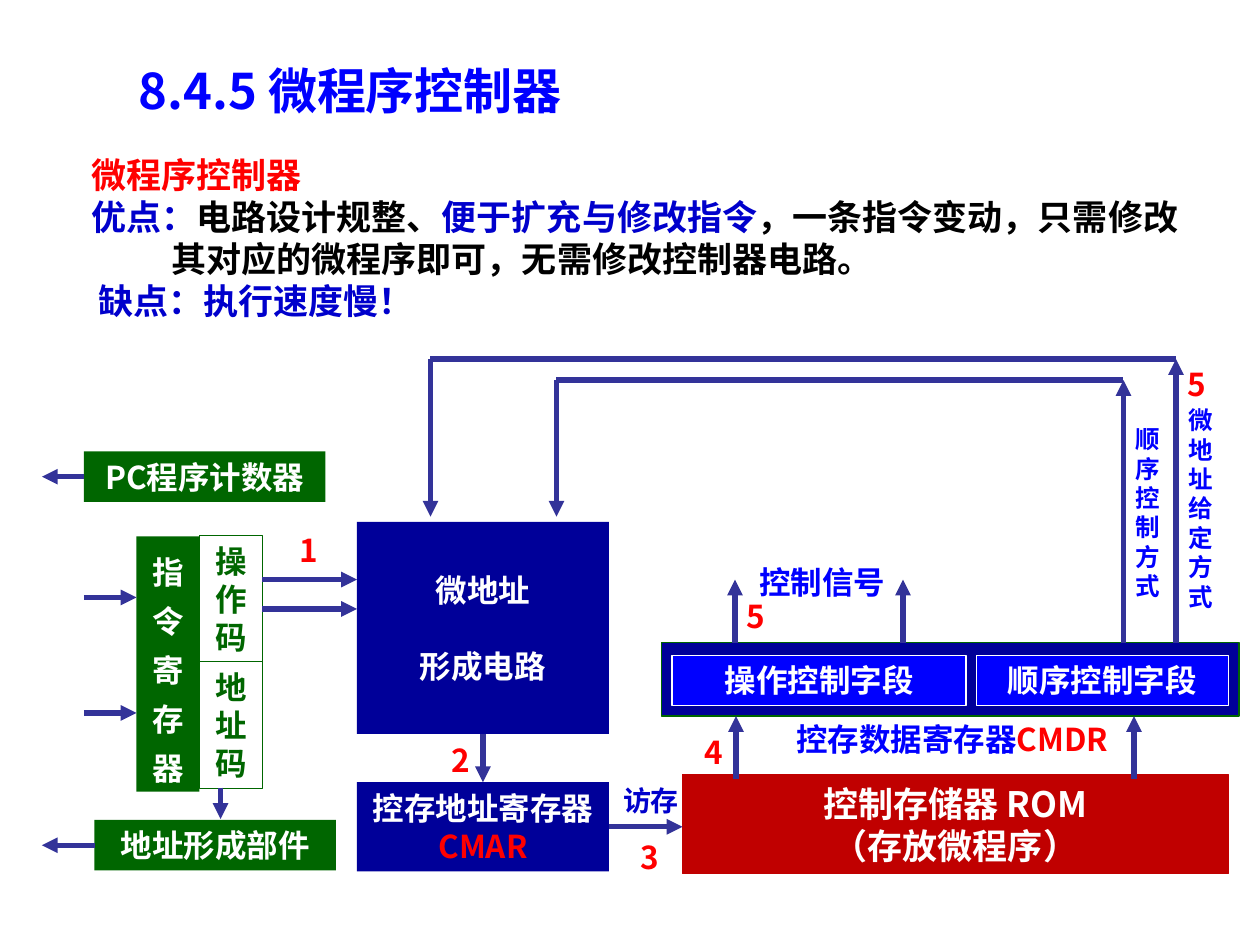
from lxml.etree import SubElement
from pptx import Presentation
from pptx.dml.color import RGBColor
from pptx.enum.shapes import MSO_CONNECTOR as LINK, MSO_SHAPE as FORM
from pptx.enum.text import MSO_ANCHOR as ANCHOR, MSO_AUTO_SIZE as AUTO, PP_ALIGN as ALIGN
from pptx.oxml.ns import qn
from pptx.util import Inches, Pt

FONT = "Noto Sans CJK SC"
BLUE = RGBColor(0x00, 0x00, 0xFF)
DEEP = RGBColor(0x00, 0x00, 0xCC)
NAVY = RGBColor(0x00, 0x00, 0x99)
STEEL = RGBColor(0x33, 0x33, 0x99)
GREEN = RGBColor(0x00, 0x66, 0x00)
BRICK = RGBColor(0xC0, 0x00, 0x00)
RED = RGBColor(0xFF, 0x00, 0x00)
WHITE = RGBColor(0xFF, 0xFF, 0xFF)
BLACK = RGBColor(0x00, 0x00, 0x00)

# All places are (column, row, columns wide, rows high) on this grid
COLS, ROWS = 120, 90
WIDE, HIGH = Inches(10), Inches(7.5)

TITLE = "8.4.5 微程序控制器"
TITLE_AT = (12, 5.2, 66, 6.8)

# Intro: (left indent in columns, runs)
INTRO_AT = (7.5, 14, 108.7, 17.2)
INTRO = [
    (0, [("微程序控制器", RED)]),
    (0, [("优点：", DEEP), ("电路设计规整、", BLACK), ("便于扩充与修改指令", DEEP),
         ("，一条指令变动，只需修改", BLACK)]),
    (7.65, [("其对应的微程序即可，无需修改控制器电路。", BLACK)]),
    (0.7, [("缺点：执行速度慢！", DEEP)]),
]

# Boxes: name, place, fill, edge, text size, paragraphs of runs
BOXES = [
    ("cmdr", (63, 61.2, 55, 7), NAVY, GREEN, 18, []),
    ("rom", (65, 73.8, 52, 9.4), BRICK, BRICK, 20,
     [[("控制存储器 ROM", WHITE)], [("（存放微程序）", WHITE)]]),
    ("cmar", (34, 74.5, 24, 8.5), NAVY, None, 18,
     [[("控存地址寄存器", WHITE)], [("CMAR", RED)]]),
    ("op", (64, 62.4, 28, 4.8), BLUE, WHITE, 18, [[("操作控制字段", WHITE)]]),
    ("seq", (93, 62.4, 24, 4.8), BLUE, WHITE, 18, [[("顺序控制字段", WHITE)]]),
    ("pc", (8, 43, 23, 4.8), GREEN, None, 18, [[("PC程序计数器", WHITE)]]),
    ("form", (34, 49.7, 24, 20.2), NAVY, None, 18,
     [[("微地址", WHITE)], [("形成电路", WHITE)]]),
    ("ir", (13, 51.1, 6, 24.3), GREEN, None, 18, [[("指令", WHITE)], [("寄存器", WHITE)]]),
    ("code", (19, 51, 6, 12.1), WHITE, GREEN, 18, [[("操作码", GREEN)]]),
    ("addr", (19, 63, 6, 12.1), WHITE, GREEN, 18, [[("地址码", GREEN)]]),
    ("part", (9, 78.1, 23, 4.8), GREEN, None, 18, [[("地址形成部件", WHITE)]]),
]

# Labels: place, size, wrap, alignment, paragraphs of runs
LABELS = [
    ((74, 68, 33.4, 4.8), 18, False, ALIGN.CENTER,
     [[("控存数据寄存器", BLUE), ("CMDR", RED)]]),
    ((65.3, 53, 26, 4.8), 18, True, ALIGN.CENTER, [[("控制信号", BLUE)]]),
    ((107, 39.8, 6, 18.1), 14, True, ALIGN.LEFT,
     [[("顺序", BLUE)], [("控制", BLUE)], [("方式", BLUE)]]),
    ((112, 38, 6.9, 21), 14, True, ALIGN.LEFT, [[("微地址给定方式", BLUE)]]),
    ((57, 74, 10, 4.4), 16, True, ALIGN.CENTER, [[("访存", DEEP)]]),
]

# Step numbers: digit, column and row of the top left corner
STEPS = [("1", 26.4, 49), ("2", 40.9, 69), ("3", 58.9, 78.2),
         ("4", 65, 68.2), ("5", 69, 55.3), ("5", 111, 33.2)]
STEP_W, STEP_H = 6, 6.8

# Arrows: from column, row to column, row
ARROWS = [(x, 61.2, x, 55.2) for x in (70, 86)]           # control signals
ARROWS += [(x, 74.2, x, 68.2) for x in (70.1, 108)]       # ROM to data register
ARROWS += [(25, y, 34, y) for y in (55.2, 58)]            # operation code
ARROWS += [(8, y, 13, y) for y in (56.9, 67.9)]           # into the register
ARROWS += [(21, 75, 21, 78)]                              # address code

# Feedback loops: right column, top row, left column
LOOPS = [(107, 36.2, 53), (112, 34.2, 41)]
LOOP_LOW, LOOP_END = 61.2, 49.2

# Arrows that leave a box: box, side, end (a box and side, or a point)
JOINS = [("pc", 1, (4, 45.4)), ("part", 1, (4, 80.5)),
         ("form", 2, ("cmar", 0)), ("cmar", 3, (65, 78.75))]


def px(col):
    return round(WIDE * col / COLS)


def py(row):
    return round(HIGH * row / ROWS)


def area(at):
    x, y, w, h = at
    return px(x), py(y), px(w), py(h)


def write(frame, paras, size, align, wrap=True, anchor=ANCHOR.TOP):
    frame.word_wrap = wrap
    frame.auto_size = AUTO.NONE
    frame.vertical_anchor = anchor
    for i, runs in enumerate(paras):
        para = frame.paragraphs[0] if i == 0 else frame.add_paragraph()
        para.alignment = align
        for text, color in runs:
            run = para.add_run()
            run.text = text
            font = run.font
            font.size, font.bold, font.name = Pt(size), True, FONT
            font.color.rgb = color
            SubElement(font._element, qn("a:ea"), typeface=FONT)


deck = Presentation()
deck.slide_width, deck.slide_height = WIDE, HIGH
slide = deck.slides.add_slide(deck.slide_layouts[5])
shapes = slide.shapes


def block(kind, at, fill=None, edge=None):
    shape = shapes.add_shape(kind, *area(at))
    shape.shadow.inherit = False
    if fill is None:
        shape.fill.background()
    else:
        shape.fill.solid()
        shape.fill.fore_color.rgb = fill
    if edge is None:
        shape.line.fill.background()
    else:
        shape.line.color.rgb = edge
        shape.line.width = Pt(0.75)
    return shape


def link(x1, y1, x2, y2, head=True):
    line = shapes.add_connector(LINK.STRAIGHT, px(x1), py(y1), px(x2), py(y2))
    line.line.color.rgb = STEEL
    line.line.width = Pt(3)
    if head:
        SubElement(line.line._get_or_add_ln(), qn("a:tailEnd"), type="triangle")
    SubElement(line._element.spPr, qn("a:effectLst"))
    return line


# Title
title = shapes.title
title.left, title.top, title.width, title.height = area(TITLE_AT)
write(title.text_frame, [[(TITLE, BLUE)]], 28, ALIGN.LEFT)

# Intro text
intro = shapes.add_textbox(*area(INTRO_AT)).text_frame
write(intro, [runs for _, runs in INTRO], 20, ALIGN.LEFT)
for para, (indent, _) in zip(intro.paragraphs, INTRO):
    para._p.get_or_add_pPr().set("marL", str(px(indent)))

# Boxes
box = {}
for name, at, fill, edge, size, paras in BOXES:
    box[name] = block(FORM.RECTANGLE, at, fill, edge)
    write(box[name].text_frame, paras, size, ALIGN.CENTER, anchor=ANCHOR.MIDDLE)
for para in box["ir"].text_frame.paragraphs:
    para.line_spacing = Pt(28)
box["form"].text_frame.paragraphs[1].space_before = Pt(22)

# Arrows and feedback loops
for ends in ARROWS:
    link(*ends)
for right, top, left in LOOPS:
    link(right, LOOP_LOW, right, top)
    link(right, top, left, top, head=False)
    link(left, top, left, LOOP_END)
for name, side, end in JOINS:
    glued = end[0] in box
    line = link(0, 0, *((0, 0) if glued else end))
    line.begin_connect(box[name], side)
    if glued:
        line.end_connect(box[end[0]], end[1])
    else:
        line.end_y = line.begin_y

# Labels and step numbers
for at, size, wrap, align, paras in LABELS:
    write(shapes.add_textbox(*area(at)).text_frame, paras, size, align, wrap)
for digit, x, y in STEPS:
    mark = block(FORM.OVAL, (x, y, STEP_W, STEP_H))
    write(mark.text_frame, [[(digit, RED)]], 18, ALIGN.CENTER, False, ANCHOR.MIDDLE)

deck.save("out.pptx")
